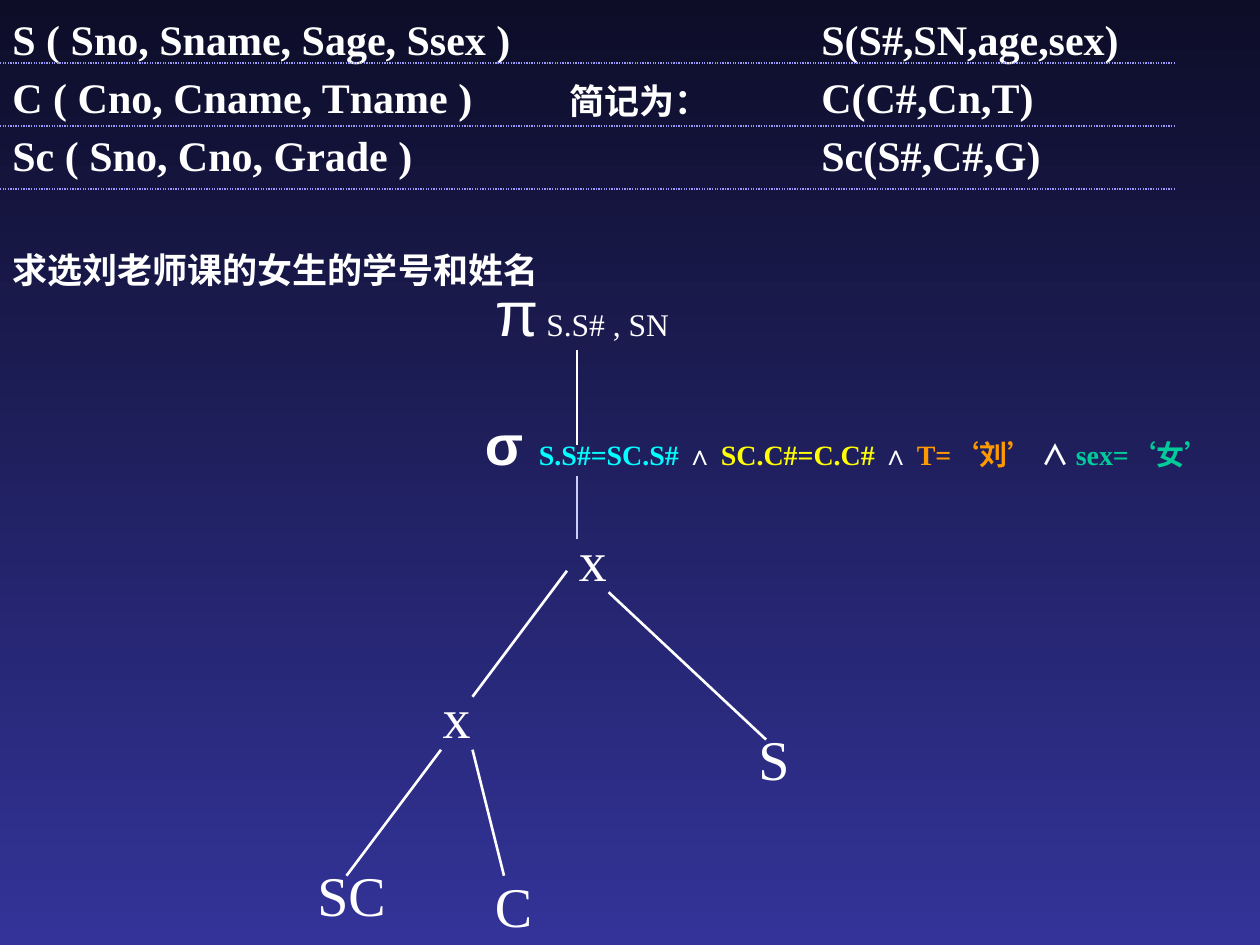
from lxml.etree import SubElement
from pptx import Presentation
from pptx.dml.color import RGBColor
from pptx.enum.dml import MSO_LINE
from pptx.enum.shapes import MSO_CONNECTOR
from pptx.enum.text import MSO_AUTO_SIZE, PP_ALIGN
from pptx.oxml.ns import qn
from pptx.util import Inches, Pt

COLORS = {
    "night": "0D0D28", "blue": "333399", "white": "FFFFFF", "lilac": "CCCCFF",
    "rule": "9999FF", "cyan": "00FFFF", "yellow": "FFFF00", "orange": "FF9900",
    "green": "00CC99",
}
SERIF, SANS = "Times New Roman", "Arial"
HEAD = {"size": 24, "bold": True}
NOTE = {"size": 20, "bold": True}
NODE = {"size": 32}
TERM = {"size": 16, "bold": True}

# Left, top, width, height, format, lines
TABLES = [
    (0, 0, 4.75, 1.48, HEAD,
     ["S ( Sno, Sname, Sage, Ssex )", "C ( Cno, Cname, Tname )", "Sc ( Sno, Cno, Grade )"]),
    (6.42, 0, 2.92, 1.48, HEAD, ["S(S#,SN,age,sex)", "C(C#,Cn,T)", "Sc(S#,C#,G)"]),
]
NOTES = [
    (0, 1.92, 5.58, 0.44, NOTE, ["求选刘老师课的女生的学号和姓名"]),
    (4.42, 0.58, 1.31, 0.44, NOTE, ["简记为："]),
]
JOINS = [(3.58, 4.12, 2.25, 0.64, NODE, ["x"]), (2.5, 5.37, 2.25, 0.64, NODE, ["x"])]
LEAVES = [
    (5.92, 5.7, 1.25, 0.64, NODE, ["S"]),
    (2.42, 6.78, 1.25, 0.64, NODE, ["SC"]),
    (3.83, 6.87, 0.83, 0.64, NODE, ["C"]),
]
# Text, colour, format
PROJECT = [("π", "white", {"size": 36, "name": SANS}), (" S.S# , SN", "white", {"size": 18})]
SELECT = [("σ ", "white", {"size": 32, "bold": True, "name": SANS})] + [
    (text, color, TERM) for text, color in [
        ("S.S#=SC.S#", "cyan"), (" ∧ ", "white"), ("SC.C#=C.C#", "yellow"),
        (" ∧ ", "white"), ("T=‘刘’", "orange"), (" ∧ ", "white"), ("sex=‘女’", "green"),
    ]
]
# Start x, start y, end x, end y, colour
EDGES = [
    (4.58, 3.53, 4.58, 2.78, "white"),
    (4.58, 4.28, 4.58, 3.78, "lilac"),
    (3.75, 5.53, 4.5, 4.53, "white"),
    (4.83, 4.7, 6.08, 5.87, "white"),
    (2.75, 6.95, 3.5, 5.95, "white"),
    (3.75, 5.95, 4, 6.95, "white"),
]
RULES = 3
RULE_GAP = 0.5
RULE_END = 9.33


def rgb(color):
    return RGBColor.from_string(COLORS[color])


def add_run(para, text, color, form):
    run = para.add_run()
    run.text = text
    for key, value in {"name": SERIF, "bold": False, **form}.items():
        setattr(run.font, key, Pt(value) if key == "size" else value)
    run.font.color.rgb = rgb(color)


def add_box(slide, place, lines, wrap=True, **layout):
    """Add a text box whose lines are lists of (text, colour, format)."""
    frame = slide.shapes.add_textbox(*map(Inches, place)).text_frame
    frame.word_wrap = wrap
    frame.auto_size = MSO_AUTO_SIZE.SHAPE_TO_FIT_TEXT
    for i, runs in enumerate(lines):
        para = frame.add_paragraph() if i else frame.paragraphs[0]
        for key, value in layout.items():
            setattr(para, key, value)
        for run in runs:
            add_run(para, *run)


def add_plain(slide, boxes, **layout):
    for *place, form, lines in boxes:
        add_box(slide, place, [[(line, "white", form)] for line in lines], **layout)


def add_line(slide, ends, color, width, dash=None):
    link = slide.shapes.add_connector(MSO_CONNECTOR.STRAIGHT, *map(Inches, ends))
    link.line.color.rgb = rgb(color)
    link.line.width = Pt(width)
    link.line.dash_style = dash
    SubElement(link._element.spPr, qn("a:effectLst"))


def paint(slide):
    fill = slide.background.fill
    fill.gradient()
    fill.gradient_angle = 270
    for stop, color, place in zip(fill.gradient_stops, ("night", "blue"), (0, 1)):
        stop.color.rgb = rgb(color)
        stop.position = place


def main():
    deck = Presentation()
    deck.slide_width, deck.slide_height = Inches(10), Inches(7.5)
    slide = deck.slides.add_slide(deck.slide_layouts[6])
    paint(slide)
    add_plain(slide, TABLES, line_spacing=1.15)
    add_plain(slide, NOTES, wrap=False)
    add_box(slide, (3.83, 2.12, 1.75, 0.7), [PROJECT])
    add_box(slide, (3.75, 3.2, 6.25, 0.64), [SELECT])
    add_plain(slide, JOINS, alignment=PP_ALIGN.CENTER)
    add_plain(slide, LEAVES)
    for *ends, color in EDGES:
        add_line(slide, ends, color, 1.5)
    for i in range(RULES):
        y = RULE_GAP * (i + 1)
        add_line(slide, (0, y, RULE_END, y), "rule", 0.75, MSO_LINE.ROUND_DOT)
    deck.save("out.pptx")


if __name__ == "__main__":
    main()
